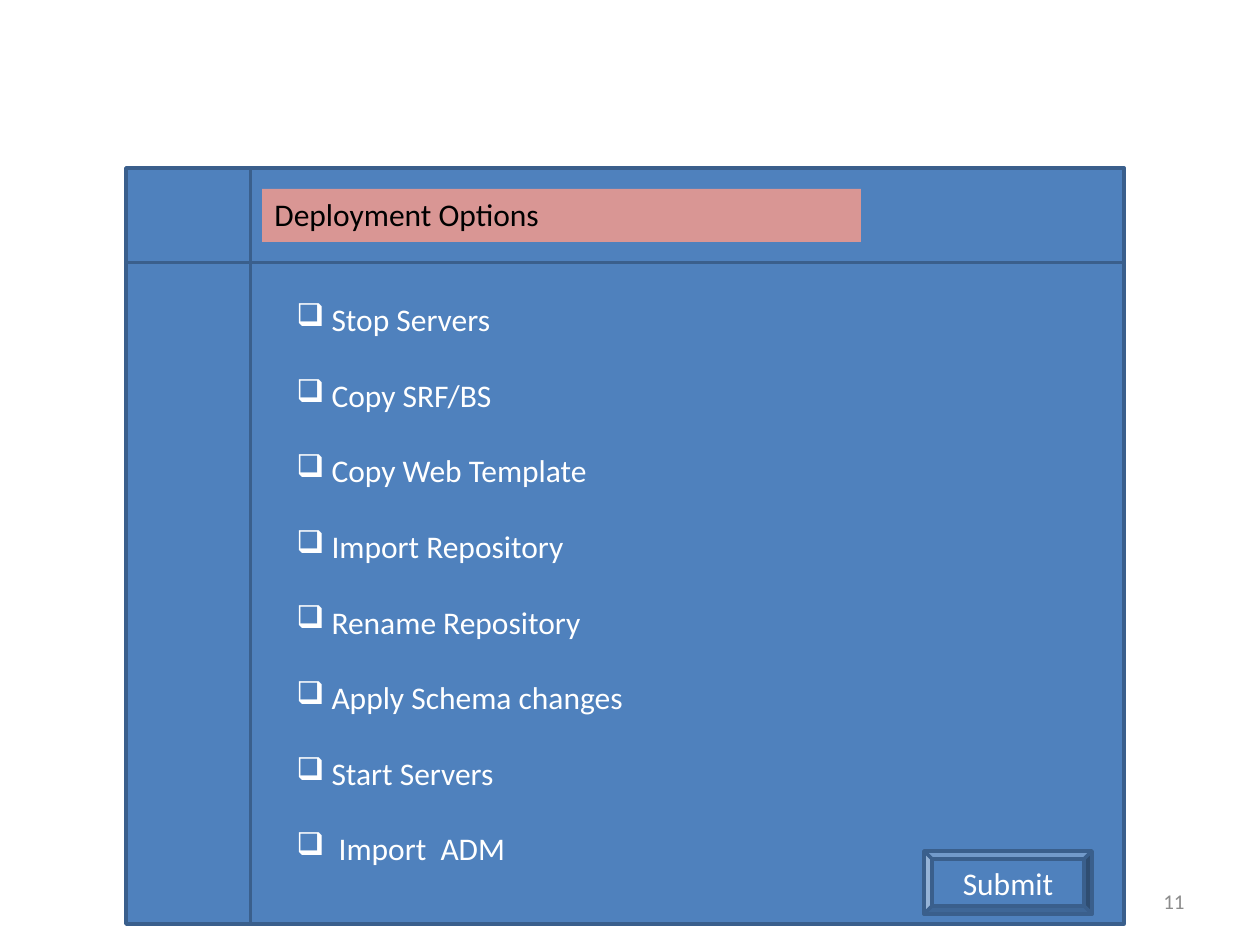
from dataclasses import dataclass

from lxml.etree import SubElement
from pptx import Presentation
from pptx.dml.color import RGBColor
from pptx.enum.shapes import MSO_SHAPE
from pptx.enum.text import MSO_ANCHOR, PP_ALIGN
from pptx.oxml.ns import qn
from pptx.util import Emu, Pt

PX_PER_INCH = 126


@dataclass(frozen=True)
class Theme:
    font: str = "Calibri"
    panel: str = "4F81BD"
    outline: str = "3A5F8C"
    heading: str = "D99694"
    light: str = "FFFFFF"
    dark: str = "000000"
    muted: str = "8C8C8C"
    body_size: int = 18
    number_size: int = 12
    line_width: int = 2
    option_gap: float = 21.6


THEME = Theme()
OPTIONS = [
    " Stop Servers",
    " Copy SRF/BS",
    " Copy Web Template",
    " Import Repository",
    " Rename Repository",
    " Apply Schema changes",
    " Start Servers",
    "  Import  ADM",
]


def px(n):
    return Emu(round(n * 914400 / PX_PER_INCH))


def add_run(p, text, color, size=THEME.body_size):
    r = p.add_run()
    r.text = text
    r.font.name = THEME.font
    r.font.size = Pt(size)
    r.font.color.rgb = RGBColor.from_string(color)


def set_bullet(p, char):
    pPr = p._p.get_or_add_pPr()
    pPr.set("marL", "0")
    pPr.set("indent", "0")
    SubElement(pPr, qn("a:buChar")).set("char", char)


def add_box(slide, kind, box, fill, outline=None):
    sp = slide.shapes.add_shape(kind, *map(px, box))
    sp.shadow.inherit = False
    sp.fill.solid()
    sp.fill.fore_color.rgb = RGBColor.from_string(fill)
    if outline:
        sp.line.color.rgb = RGBColor.from_string(outline)
        sp.line.width = Pt(THEME.line_width)
    else:
        sp.line.fill.background()
    return sp


def add_text(slide, box):
    tf = slide.shapes.add_textbox(*map(px, box)).text_frame
    tf.word_wrap = True
    return tf


def write_label(tf, text, color, align, anchor, size=THEME.body_size):
    tf.vertical_anchor = anchor
    p = tf.paragraphs[0]
    p.alignment = align
    add_run(p, text, color, size)


def add_options(slide, box, options):
    tf = add_text(slide, box)
    for i, option in enumerate(options):
        p = tf.add_paragraph() if i else tf.paragraphs[0]
        if i:
            p.space_before = Pt(THEME.option_gap)
        set_bullet(p, "❑")
        add_run(p, option, THEME.light)


def main():
    prs = Presentation()
    prs.slide_width, prs.slide_height = px(1260), px(945)
    slide = prs.slides.add_slide(prs.slide_layouts[6])

    # Page number
    number = add_text(slide, (903, 876, 294, 50))
    write_label(number, "11", THEME.muted, PP_ALIGN.RIGHT, MSO_ANCHOR.MIDDLE,
                THEME.number_size)

    # Form panel with its check list
    add_box(slide, MSO_SHAPE.FLOWCHART_INTERNAL_STORAGE, (126, 168, 998, 756),
            THEME.panel, THEME.outline)
    add_options(slide, (284, 294, 777, 624), OPTIONS)

    # Form heading
    heading = add_box(slide, MSO_SHAPE.RECTANGLE, (262, 189, 599, 53), THEME.heading)
    write_label(heading.text_frame, "Deployment Options", THEME.dark,
                PP_ALIGN.LEFT, MSO_ANCHOR.TOP)

    # Submit button
    button = add_box(slide, MSO_SHAPE.BEVEL, (924, 851, 168, 63),
                     THEME.panel, THEME.outline)
    write_label(button.text_frame, "Submit", THEME.light,
                PP_ALIGN.CENTER, MSO_ANCHOR.MIDDLE)

    prs.save("out.pptx")


if __name__ == "__main__":
    main()
